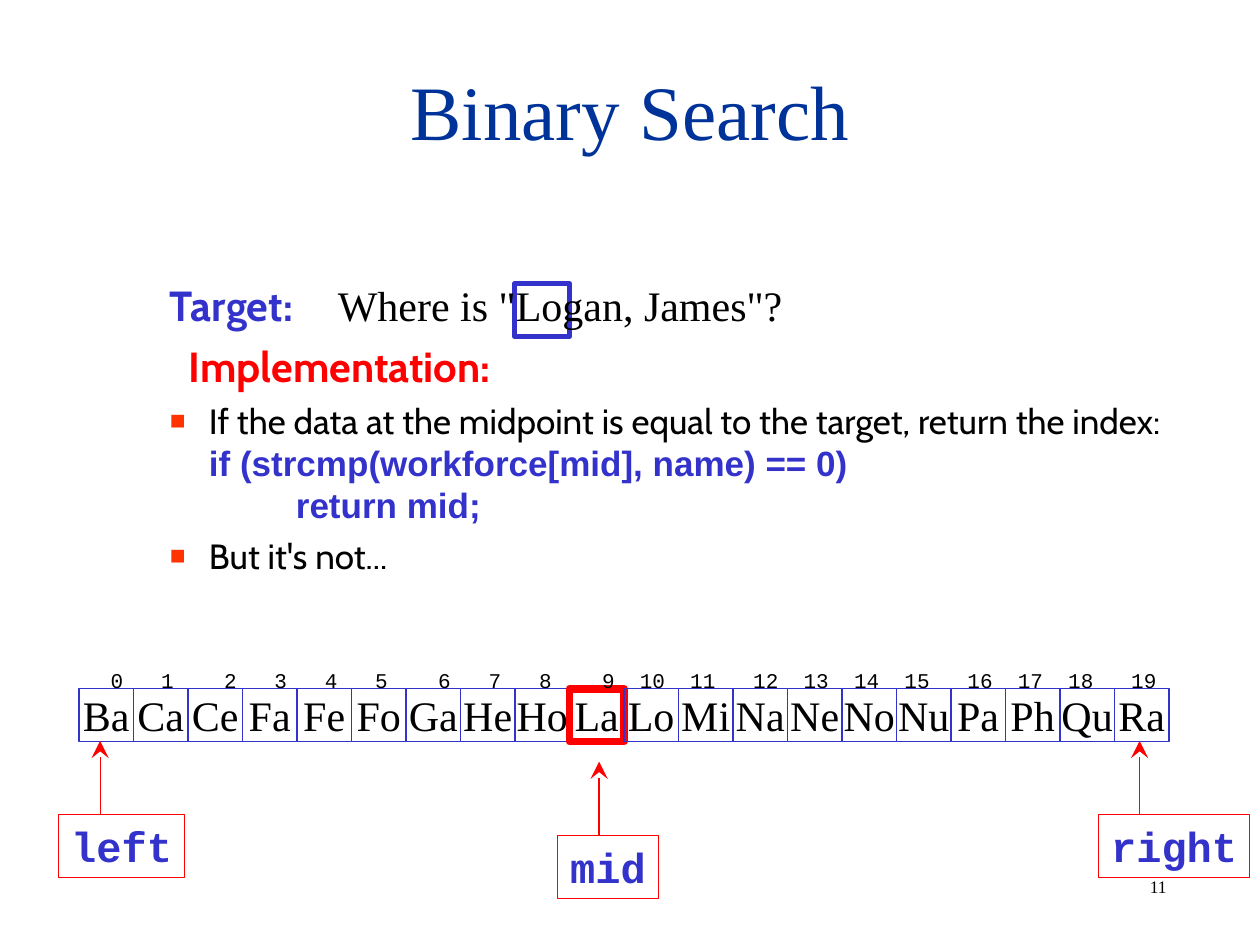
import itertools
from dataclasses import dataclass, field
from typing import Any, NamedTuple

import pptx
import pptx.dml.color
import pptx.enum.shapes
import pptx.enum.text
import pptx.oxml
import pptx.oxml.ns
import pptx.util

RGBColor = pptx.dml.color.RGBColor
ALIGN = pptx.enum.text.PP_ALIGN
ANCHOR = pptx.enum.text.MSO_ANCHOR

BLACK = RGBColor(0x00, 0x00, 0x00)
NAVY = RGBColor(0x00, 0x33, 0x99)
BLUE = RGBColor(0x33, 0x33, 0xCC)
RED = RGBColor(0xFF, 0x00, 0x00)
ORANGE = RGBColor(0xFF, 0x33, 0x00)

SERIF, SANS, MONO = "Times New Roman", "Cabin", "Courier New"
SLIDE_WIDTH = pptx.util.Inches(10)
SLIDE_HEIGHT = pptx.util.Inches(7.5)


class Area(NamedTuple):
    """Left, top, width and height in percent of the slide's size."""
    left: float
    top: float
    width: float
    height: float


@dataclass
class Words:
    """A run of text and its font."""
    text: str
    size: float
    name: str
    color: RGBColor = BLACK
    bold: bool = False


@dataclass
class Line:
    """A paragraph; each inner list of words is one row of it."""
    rows: list[list[Words]]
    format: dict[str, Any] = field(default_factory=dict)
    margin: float = 0
    indent: float = 0
    bullet: bool = False


@dataclass
class Pointer:
    """A label with an arrow that rises from its top edge."""
    text: str
    area: Area
    arrow_x: float


def across(percent: float) -> int:
    return round(SLIDE_WIDTH * percent / 100)


def down(percent: float) -> int:
    return round(SLIDE_HEIGHT * percent / 100)


def place(area: Area) -> tuple[int, int, int, int]:
    return across(area.left), down(area.top), across(area.width), down(area.height)


def add_xml(parent: Any, tag: str, content: str = "", **attributes: str) -> None:
    values = "".join(f' {key}="{value}"' for key, value in attributes.items())
    namespace = pptx.oxml.ns.nsdecls("a")
    parent.append(pptx.oxml.parse_xml(f"<a:{tag} {namespace}{values}>{content}</a:{tag}>"))


def write(box: Any, lines: list[Line], wrap: bool = True, anchor: Any = ANCHOR.TOP) -> None:
    frame = box.text_frame
    for key, value in {"word_wrap": wrap, "vertical_anchor": anchor}.items():
        setattr(frame, key, value)
    for number, line in enumerate(lines):
        para = frame.add_paragraph() if number else frame.paragraphs[0]
        for key, value in ({"alignment": ALIGN.LEFT} | line.format).items():
            setattr(para, key, value)
        properties = para._p.get_or_add_pPr()
        properties.set("marL", str(pptx.util.Inches(line.margin)))
        properties.set("indent", str(pptx.util.Inches(line.indent)))
        if line.bullet:
            add_xml(properties, "buClr", f'<a:srgbClr val="{ORANGE}"/>')
            add_xml(properties, "buSzPct", val="75000")
            add_xml(properties, "buFont", typeface=SERIF)
            add_xml(properties, "buChar", char="■")
        for row_number, row in enumerate(line.rows):
            if row_number:
                para.add_line_break()
            for words in row:
                span = para.add_run()
                span.text = words.text
                span.font.color.rgb = words.color
                for key, value in {"size": pptx.util.Pt(words.size), "name": words.name,
                                   "bold": words.bold}.items():
                    setattr(span.font, key, value)


def add_text(page: Any, area: Area, lines: list[Line], **options: Any) -> None:
    write(page.shapes.add_textbox(*place(area)), lines, **options)


def add_frame(page: Any, area: Area, color: RGBColor, weight: float) -> Any:
    box = page.shapes.add_shape(pptx.enum.shapes.MSO_SHAPE.RECTANGLE, *place(area))
    box.shadow.inherit = False
    box.fill.background()
    box.line.color.rgb = color
    box.line.width = pptx.util.Pt(weight)
    return box


def add_pointer(page: Any, pointer: Pointer) -> None:
    box = add_frame(page, pointer.area, RED, 0.75)
    write(box, [Line([[Words(pointer.text, 24, MONO, BLUE, True)]])], wrap=False)
    x, top = across(pointer.arrow_x), pointer.area.top
    arrow = page.shapes.add_connector(pptx.enum.shapes.MSO_CONNECTOR.STRAIGHT,
                                      x, down(top), x, down(top - ARROW_RISE))
    arrow.line.color.rgb = RED
    arrow.line.width = pptx.util.Pt(0.75)
    add_xml(arrow.line._get_or_add_ln(), "tailEnd", type="stealth", w="lg", len="lg")
    add_xml(arrow._element.spPr, "effectLst")


HANGING = {"margin": 0.81, "indent": -0.31}
HEADING_GAP = {"space_before": pptx.util.Pt(6)}
BULLET_GAP = {"space_before": pptx.util.Pt(5)}

BODY = [
    Line([[Words("Target:", 24, SANS, BLUE, True)]], HEADING_GAP, **HANGING),
    Line([[Words("Implementation:", 24, SANS, RED, True)]], HEADING_GAP, 0.81, -0.16),
    Line([[Words("If the data at the midpoint is equal to the target, return the index:", 20, SANS)],
          [Words("if (strcmp(workforce[mid], name) == 0)", 20, "Arial", BLUE, True)],
          [Words("\t\treturn mid;", 20, "Arial", BLUE, True)]],
         BULLET_GAP, bullet=True, **HANGING),
    Line([[Words("But it's not...", 20, SANS)]], BULLET_GAP, bullet=True, **HANGING),
]

# The array: one grid column per name
NAMES = "Ba Ca Ce Fa Fe Fo Ga He Ho La Lo Mi Na Ne No Nu Pa Ph Qu Ra".split()
MIDPOINT = "La"
ARRAY = Area(6.27, 72.87, 86.5, 5.6)
COLUMN = ARRAY.width / len(NAMES)

# Steps between index numbers, in characters one percent of the slide wide
INDEX_STEPS = (4, 5, 4, 4, 4, 5, 4, 4, 5, 3, 4, 5, 4, 4, 4, 5, 4, 4, 5)
FIRST_INDEX = Area(7.8, 70, 5, 4)

ARROW_RISE = 7.8
POINTERS = [
    Pointer("left", Area(4.67, 86.2, 10, 6.67), 7.95),
    Pointer("right", Area(87.2, 86.2, 12, 6.67), 90.45),
    Pointer("mid", Area(44.27, 88.4, 8, 6.67), 47.55),
]


def main() -> None:
    deck = pptx.Presentation()
    deck.slide_width, deck.slide_height = SLIDE_WIDTH, SLIDE_HEIGHT
    page = deck.slides.add_slide(deck.slide_layouts[6])

    # Page number, title and body
    add_text(page, Area(90.27, 92, 7.8, 3.6), [Line([[Words("11", 10, SERIF)]])])
    add_text(page, Area(7.5, 3.33, 85, 16.67),
             [Line([[Words("Binary Search", 44, SERIF, NAVY)]], {"alignment": ALIGN.CENTER})],
             anchor=ANCHOR.MIDDLE)
    add_text(page, Area(7.5, 28.93, 87.5, 60), BODY)

    # Target question with its key letters framed
    add_frame(page, Area(40.85, 30, COLUMN, ARRAY.height), BLUE, 3)
    add_text(page, Area(25.83, 28.93, 38.1, 6.67),
             [Line([[Words('Where is "Logan, James"?', 24, SERIF)]])])

    # Array cells
    for index, name in enumerate(NAMES):
        color, weight = (RED, 4.5) if name == MIDPOINT else (BLUE, 0.75)
        area = Area(ARRAY.left + index * COLUMN, ARRAY.top, COLUMN, ARRAY.height)
        write(add_frame(page, area, color, weight),
              [Line([[Words(name, 24, SERIF)]], {"alignment": ALIGN.CENTER})],
              wrap=False, anchor=ANCHOR.MIDDLE)

    # Index numbers above the cells
    for index, offset in enumerate(itertools.accumulate(INDEX_STEPS, initial=0)):
        area = FIRST_INDEX._replace(left=FIRST_INDEX.left + offset)
        add_text(page, area, [Line([[Words(str(index), 12, MONO)]])])

    # Search bounds
    for pointer in POINTERS:
        add_pointer(page, pointer)

    deck.save("out.pptx")


if __name__ == "__main__":
    main()
